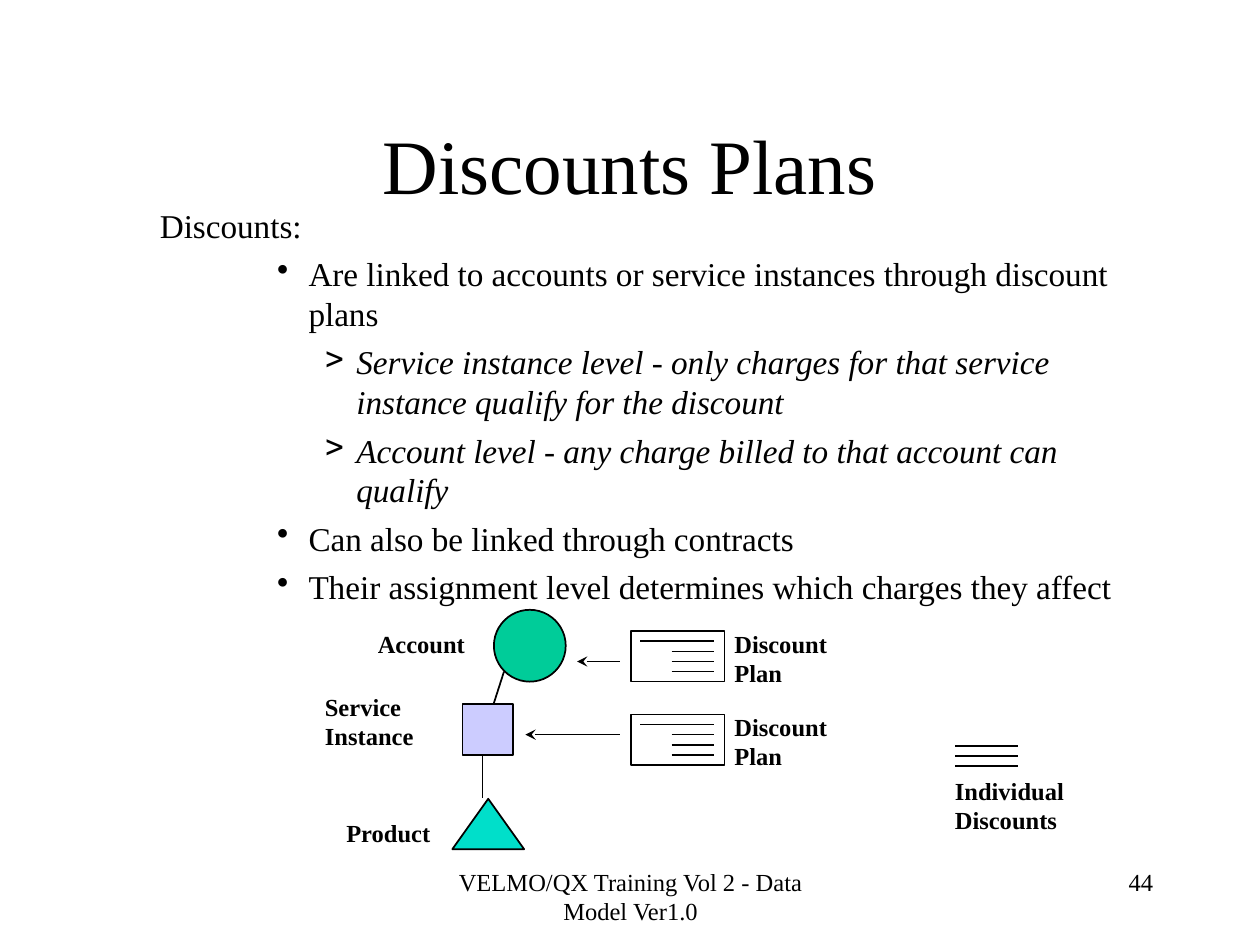
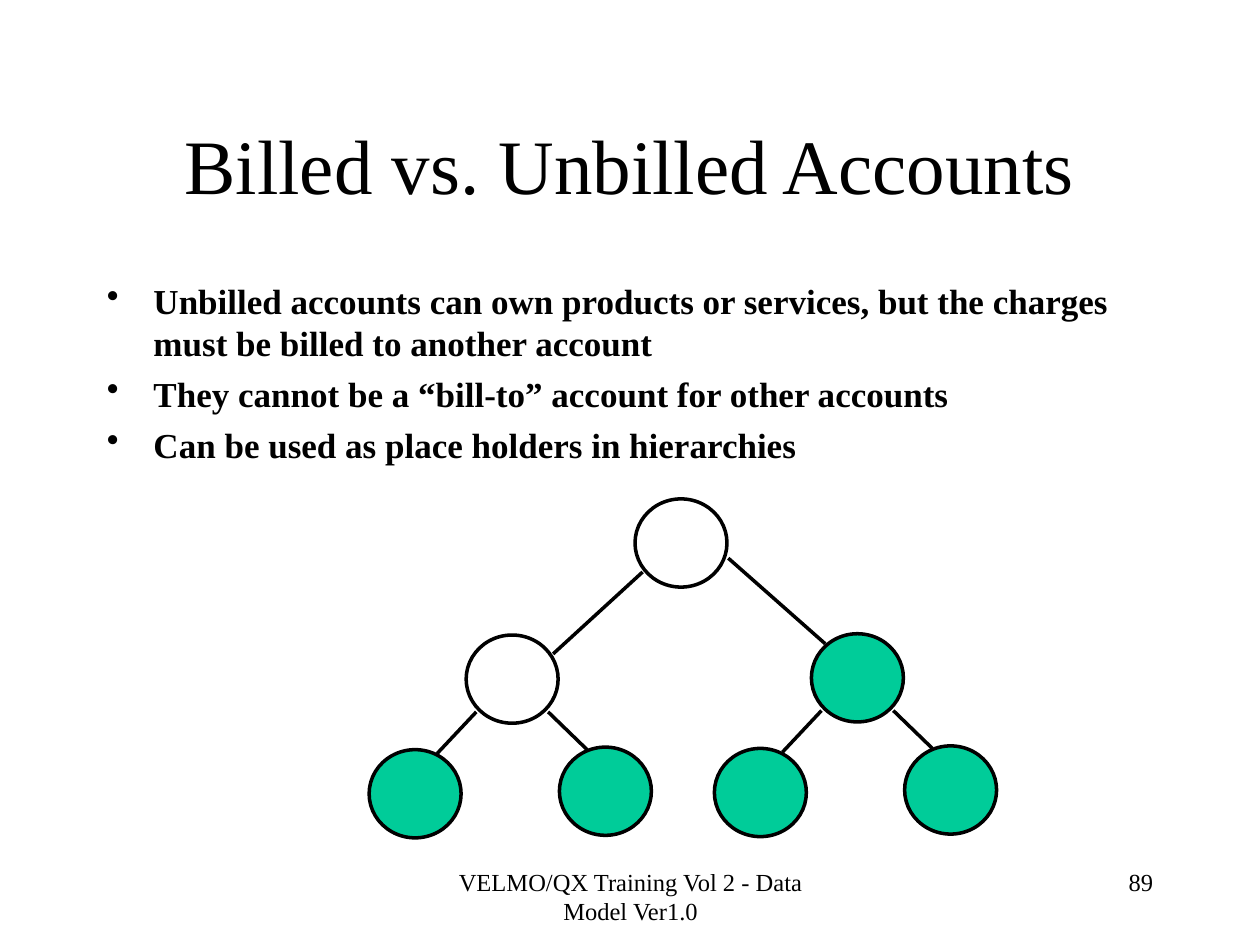
import collections

import pptx
import pptx.dml.color
import pptx.enum.shapes
import pptx.enum.text
import pptx.oxml.ns
import pptx.util
from lxml import etree

Inches = pptx.util.Inches
Pt = pptx.util.Pt
SHAPES = pptx.enum.shapes.MSO_SHAPE
ALIGN = pptx.enum.text.PP_ALIGN
qualify = pptx.oxml.ns.qn

Box = collections.namedtuple("Box", "left top width height")
Style = collections.namedtuple("Style", "size bold italic align", defaults=(False, False, ALIGN.LEFT))
Item = collections.namedtuple("Item", "text level margin hanging bullet italic")

COLORS = {
    "ink": "000000",
    "paper": "FFFFFF",
    "account": "00CC99",
    "service": "CCCCFF",
    "product": "00DFCA",
}
FONT = "Times New Roman"
FOOTER = "VELMO/QX Training Vol 2 - Data Model Ver1.0"
TITLE_BOX = Box(0.75, 0.67, 8.5, 1.25)
FOOTER_BOX = Box(3.42, 6.83, 3.17, 0.5)
NUMBER_BOX = Box(7.17, 6.83, 2.08, 0.5)
TITLE_STYLE = Style(44, align=ALIGN.CENTER)
FOOTER_STYLE = Style(14, align=ALIGN.CENTER)
NUMBER_STYLE = Style(14, align=ALIGN.RIGHT)
LABEL_STYLE = Style(14, bold=True)


def color(name):
    """Return the named palette colour."""
    return pptx.dml.color.RGBColor.from_string(COLORS[name])


def style_paragraph(para, style):
    """Apply font and alignment to a paragraph."""
    para.alignment = style.align
    para.font.name = FONT
    para.font.size = Pt(style.size)
    para.font.bold = style.bold
    para.font.italic = style.italic
    para.font.color.rgb = color("ink")


def add_text(page, box, lines, style, wrap=True):
    """Add a text box with one paragraph per line."""
    frame = page.shapes.add_textbox(*map(Inches, box)).text_frame
    frame.word_wrap = wrap
    for index, line in enumerate(lines):
        para = frame.add_paragraph() if index else frame.paragraphs[0]
        para.text = line
        style_paragraph(para, style)
    return frame


def add_label(page, left, top, width, *lines):
    """Add a bold label as high as its lines."""
    height = 0.09 + 0.24 * len(lines)
    add_text(page, Box(left, top, width, height), lines, LABEL_STYLE, wrap=False)


def add_items(page, box, items, size, before, bold=False):
    """Add a body of indented and bulleted paragraphs."""
    frame = add_text(page, box, [item.text for item in items], Style(size, bold))
    for para, item in zip(frame.paragraphs, items):
        para.level = item.level
        para.space_before = Pt(before)
        para.font.italic = item.italic
        properties = para._p.get_or_add_pPr()
        properties.set("marL", str(Inches(item.margin)))
        properties.set("indent", str(-Inches(item.hanging)))
        if item.bullet:
            etree.SubElement(properties, qualify("a:buChar"), char=item.bullet)
        else:
            etree.SubElement(properties, qualify("a:buNone"))


def add_figure(page, kind, box, fill, weight=1):
    """Add an outlined preset shape."""
    shape = page.shapes.add_shape(kind, *map(Inches, box))
    shape.shadow.inherit = False
    shape.fill.solid()
    shape.fill.fore_color.rgb = color(fill)
    shape.line.color.rgb = color("ink")
    shape.line.width = Pt(weight)


def add_line(page, start, end, weight=1, arrow=False):
    """Add a straight line, with an arrowhead at its start if asked."""
    line = page.shapes.add_connector(
        pptx.enum.shapes.MSO_CONNECTOR.STRAIGHT, *map(Inches, (*start, *end)))
    line.line.color.rgb = color("ink")
    line.line.width = Pt(weight)
    if arrow:
        etree.SubElement(line.line._get_or_add_ln(), qualify("a:headEnd"), type="stealth")
    etree.SubElement(line._element.spPr, qualify("a:effectLst"))


def add_page(deck, title, number):
    """Add a page with its title, footer and number."""
    page = deck.slides.add_slide(deck.slide_layouts[6])
    frame = add_text(page, TITLE_BOX, [title], TITLE_STYLE)
    frame.vertical_anchor = pptx.enum.text.MSO_ANCHOR.MIDDLE
    add_text(page, FOOTER_BOX, [FOOTER], FOOTER_STYLE)
    add_text(page, NUMBER_BOX, [str(number)], NUMBER_STYLE)
    return page


def add_hierarchy(page, box):
    """Draw the account, service instance and product chain."""
    left, top = box.left, box.top
    add_figure(page, SHAPES.OVAL, Box(left + 1.44, top, 0.57, 0.57), "account")
    add_figure(page, SHAPES.RECTANGLE, Box(left + 1.19, top + 0.75, 0.4, 0.4), "service")
    add_figure(page, SHAPES.ISOSCELES_TRIANGLE, Box(left + 1.11, top + 1.5, 0.57, 0.4), "product")
    add_line(page, (left + 1.52, top + 0.49), (left + 1.44, top + 0.74))
    add_line(page, (left + 1.35, top + 1.16), (left + 1.35, top + 1.49))
    add_label(page, left + 0.42, top + 0.1, 0.9, "Account")
    add_label(page, left, top + 0.6, 0.91, "Service", "Instance")
    add_label(page, left + 0.17, top + 1.6, 0.87, "Product")


def add_plan(page, box, arrow_length, arrow_drop):
    """Draw a discount plan card, its label and the arrow leaving it."""
    left, top = box.left, box.top
    add_figure(page, SHAPES.RECTANGLE, box, "paper")
    for row, inset in enumerate((0.07, 0.32, 0.32, 0.32), 1):
        height = top + 0.08 * row
        add_line(page, (left + inset, height), (left + 0.66, height))
    add_label(page, left + 0.72, top - 0.07, 0.94, "Discount", "Plan")
    tail = left - 0.09
    add_line(page, (tail - arrow_length, top + arrow_drop), (tail, top + arrow_drop), arrow=True)


def add_legend(page, box):
    """Draw the key for individual discounts."""
    for row in range(3):
        height = box.top + 0.08 * row
        add_line(page, (box.left + 0.1, height), (box.left + 0.6, height))
    add_label(page, box.left, box.top + 0.19, box.width, "Individual", "Discounts")


def add_node(page, left, top, fill):
    """Draw one account of the tree."""
    add_figure(page, SHAPES.OVAL, Box(left, top, 0.73, 0.7), fill, 2)


def add_branch(page, box, fill):
    """Draw a parent account above two billed accounts."""
    middle, top = box.left + 0.77, box.top
    add_line(page, (middle + 0.65, top + 0.61), (middle + 0.96, top + 0.91), 2)
    add_line(page, (middle + 0.08, top + 0.61), (middle - 0.23, top + 0.94), 2)
    add_node(page, middle, top, fill)
    add_node(page, box.left, top + 0.91, "account")
    add_node(page, middle + 0.74, top + 0.89, "account")


def add_tree(page, box):
    """Draw the account tree with its two branches."""
    left, top = box.left, box.top
    add_branch(page, Box(left, top + 1.08, 2.24, 1.61), "paper")
    add_branch(page, Box(left + 2.74, top + 1.07, 2.24, 1.61), "account")
    add_node(page, left + 2.11, top, "paper")
    add_line(page, (left + 2.17, top + 0.58), (left + 1.46, top + 1.23), 2)
    add_line(page, (left + 2.85, top + 0.47), (left + 3.62, top + 1.15), 2)


def build_discounts(deck):
    """Build the page on discount plans."""
    page = add_page(deck, "Discounts Plans", 44)
    point = (1, 1.18, 0.25, "•", False)
    detail = (2, 1.56, 0.25, ">", True)
    add_items(page, Box(1.17, 1.58, 8.02, 3.33), [
        Item("Discounts:", 0, 0.37, 0.37, None, False),
        Item("Are linked to accounts or service instances through discount plans", *point),
        Item("Service instance level - only charges for that service instance "
             "qualify for the discount", *detail),
        Item("Account level - any charge billed to that account can qualify", *detail),
        Item("Can also be linked through contracts", *point),
        Item("Their assignment level determines which charges they affect", *point),
    ], 19, 4.8)
    add_hierarchy(page, Box(2.48, 4.84, 2.01, 1.93))
    add_plan(page, Box(5.01, 5.01, 0.74, 0.4), 0.34, 0.24)
    add_plan(page, Box(5.01, 5.67, 0.74, 0.4), 0.75, 0.16)
    add_legend(page, Box(7.48, 5.92, 1.07, 0.76))


def build_accounts(deck):
    """Build the page on billed and unbilled accounts."""
    page = add_page(deck, "Billed vs. Unbilled Accounts", 89)
    point = (0, 0.37, 0.37, "•", False)
    add_items(page, Box(0.75, 2.17, 8.5, 2.17), [
        Item("Unbilled accounts can own products or services, but the charges "
             "must be billed to another account", *point),
        Item("They cannot be a “bill-to” account for other accounts", *point),
        Item("Can be used as place holders in hierarchies", *point),
    ], 20, 5, bold=True)
    add_tree(page, Box(2.93, 3.96, 4.98, 2.69))


def main():
    """Build and save the deck."""
    deck = pptx.Presentation()
    deck.slide_width, deck.slide_height = Inches(10), Inches(7.5)
    build_discounts(deck)
    build_accounts(deck)
    deck.save("out.pptx")


if __name__ == "__main__":
    main()
